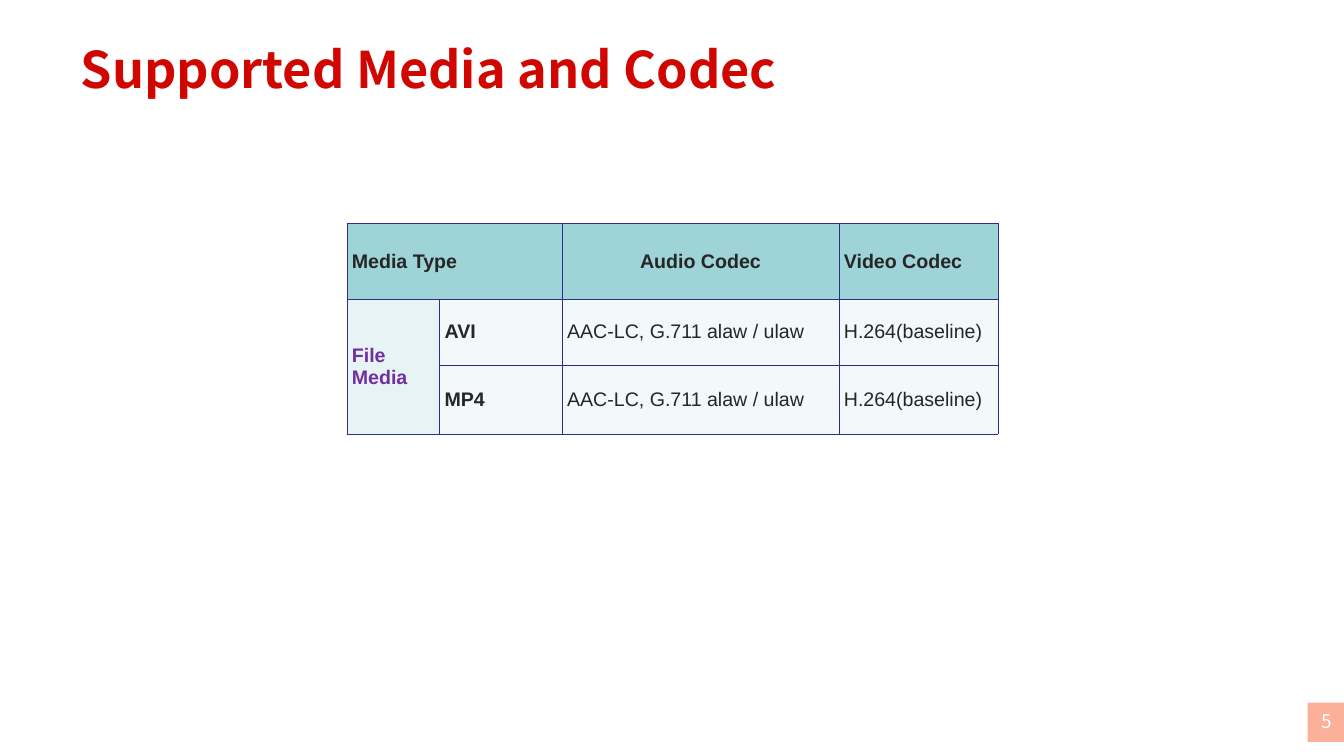
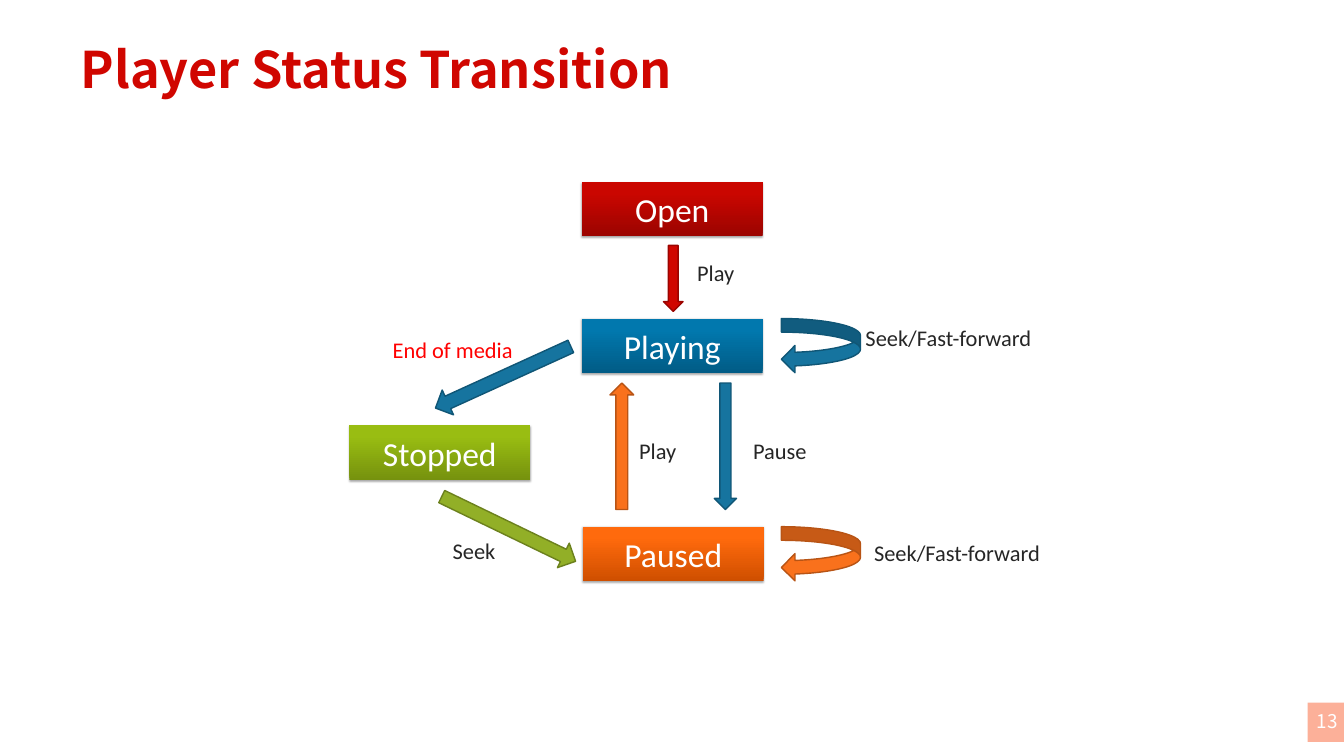
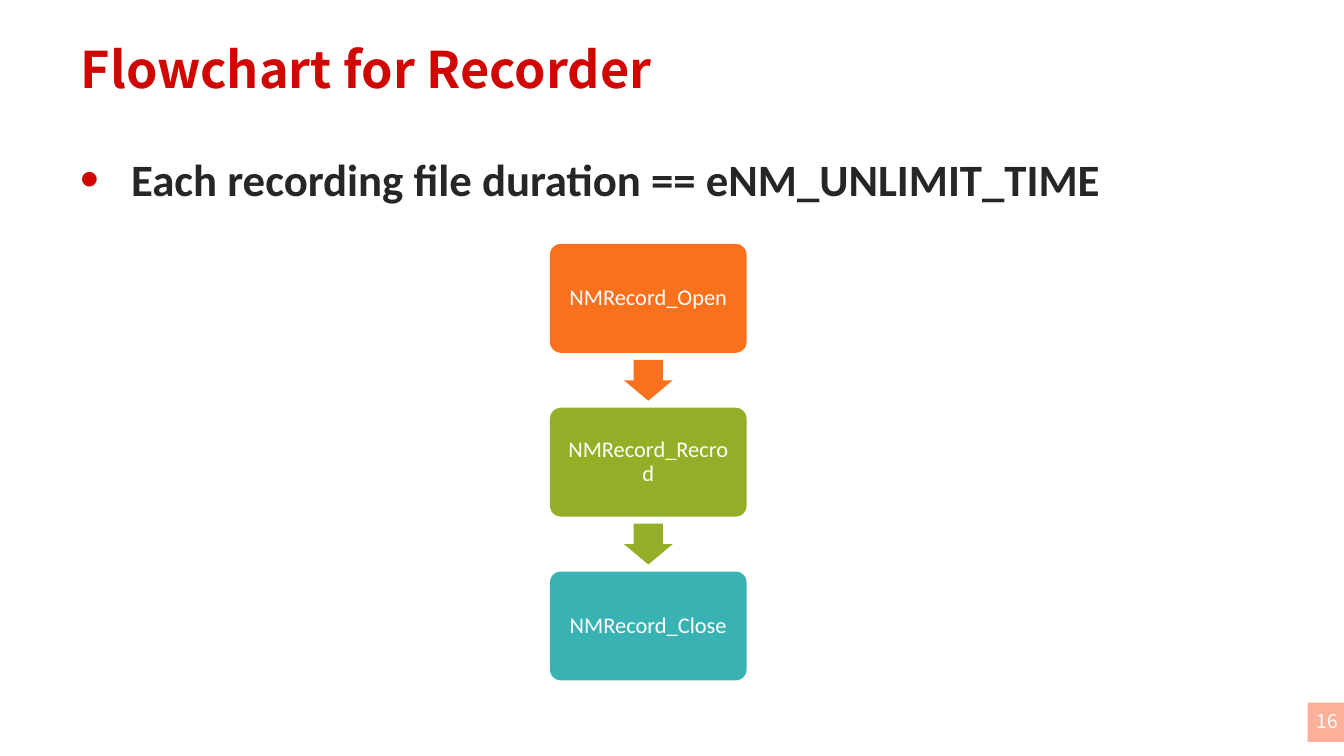
"""Build three slides on a media library: codecs, player states and recorder flow."""
from lxml import etree
from pptx import Presentation
from pptx.dml.color import RGBColor
from pptx.enum.shapes import MSO_SHAPE
from pptx.enum.text import MSO_ANCHOR, MSO_AUTO_SIZE, PP_ALIGN
from pptx.oxml.ns import qn
from pptx.util import Inches, Pt

LEFT, CENTER = PP_ALIGN.LEFT, PP_ALIGN.CENTER
TOP, MIDDLE = MSO_ANCHOR.TOP, MSO_ANCHOR.MIDDLE
RECT, ROUNDED = MSO_SHAPE.RECTANGLE, MSO_SHAPE.ROUNDED_RECTANGLE
DOWN, UP = MSO_SHAPE.DOWN_ARROW, MSO_SHAPE.UP_ARROW
RIGHT, LOOP = MSO_SHAPE.RIGHT_ARROW, MSO_SHAPE.CURVED_LEFT_ARROW
NO_FIT = MSO_AUTO_SIZE.NONE

WIDTH, HEIGHT = 26.66, 15
HEAD_FONT, BODY_FONT, TABLE_FONT = "Noto Sans CJK SC", "Calibri", "Arial"
INSETS = (0.27, 0.13)
COLORS = {
    "red": "D00600", "red edge": "9A0400", "blue": "16749F", "blue edge": "105676",
    "orange": "F9711C", "orange edge": "B85415", "green": "92AF27", "green edge": "6C811D",
    "teal": "38B2B2", "badge": "FCB099", "white": "FFFFFF", "ink": "262626",
    "alert": "FF0000", "purple": "7030A0", "border": "2D2D8A",
    "header": "9ED3D7", "group": "E7F3F4", "cell": "F3F9FA",
}

CODEC_ROWS = [
    ["Media Type", "", "Audio Codec", "Video Codec"],
    ["File Media", "AVI", "AAC-LC, G.711 alaw / ulaw", "H.264(baseline)"],
    ["", "MP4", "AAC-LC, G.711 alaw / ulaw", "H.264(baseline)"],
]
CODEC_WIDTHS = [1.84, 2.43, 5.49, 3.16]
CODEC_HEIGHTS = [1.5, 1.3, 1.37]
CODEC_AT = (6.88, 4.44)

STATE_SIZE = (3.59, 1.08)
STATES = [
    ("Open", 11.54, 3.61, "9B0400", "CA0600"),
    ("Playing", 11.54, 6.32, "015C86", "0178AE"),
    ("Paused", 11.56, 10.45, "CF4F00", "FF6A0D"),
    ("Stopped", 6.93, 8.44, "76920E", "99BD12"),
]
TRANSITIONS = [
    (LOOP, (15.5, 6.32, 1.57, 1.08), 0, "blue"),
    (LOOP, (15.5, 10.45, 1.57, 1.08), 0, "orange"),
    (DOWN, (13.16, 4.87, 0.39, 1.31), 0, "red"),
    (DOWN, (14.17, 7.6, 0.44, 2.51), 0, "blue"),
    (UP, (12.1, 7.6, 0.47, 2.51), 0, "orange"),
    (DOWN, (9.71, 6.01, 0.54, 2.95), 65.5, "blue"),
    (DOWN, (9.82, 9.02, 0.54, 2.95), 295.8, "green"),
]
LABELS = [
    ("Seek/Fast-forward", 17.07, 6.39, 3.54, "ink"),
    ("Seek/Fast-forward", 17.24, 10.65, 3.54, "ink"),
    ("Play", 13.73, 5.09, 0.95, "ink"),
    ("Play", 12.58, 8.63, 0.95, "ink"),
    ("Pause", 14.84, 8.63, 1.27, "ink"),
    ("Seek", 8.88, 10.6, 1.06, "ink"),
    ("End of media", 7.69, 6.62, 2.61, "alert"),
]

RECORD_RULE = "Each recording file duration == eNM_UNLIMIT_TIME"
RECORD_STEPS = [("NMRecord_Open", "orange"), ("NMRecord_Recrod", "green"),
                ("NMRecord_Close", "teal")]
STEP_AT, STEP_SIZE, STEP_PITCH = (10.91, 4.84), (3.9, 2.16), 3.25
STEP_ARROW = (0.81, 0.97)


def rgb(name):
    return RGBColor.from_string(COLORS.get(name, name))


def place(shape, *frame):
    shape.left, shape.top, shape.width, shape.height = map(Inches, frame)


def write(frame, text, size=32, font=BODY_FONT, color="ink", bold=False, align=LEFT,
          anchor=MIDDLE, insets=(0.1, 0.05), wrap=True):
    """Put formatted text in a text frame and return its paragraph."""
    frame.word_wrap, frame.auto_size, frame.vertical_anchor = wrap, NO_FIT, anchor
    frame.margin_left = frame.margin_right = Inches(insets[0])
    frame.margin_top = frame.margin_bottom = Inches(insets[1])
    return write_para(frame.paragraphs[0], text, size, font, color, bold, align)


def write_para(para, text, size, font, color, bold, align):
    para.alignment = align
    span = para.add_run()
    span.text = text
    span.font.size, span.font.name, span.font.bold = Pt(size), font, bold
    span.font.color.rgb = rgb(color)
    return para


def add_block(page, kind, frame, fill, edge=None, rotation=0):
    block = page.shapes.add_shape(kind, *map(Inches, frame))
    block.shadow.inherit = False
    block.rotation = rotation
    block.fill.solid()
    block.fill.fore_color.rgb = rgb(fill)
    if edge:
        block.line.color.rgb = rgb(edge)
        block.line.width = Pt(2)
    else:
        block.line.fill.background()
    return block


def add_label(page, text, frame, **style):
    box = page.shapes.add_textbox(*map(Inches, frame))
    write(box.text_frame, text, **style)


def add_page(deck, title, number, layout=5):
    page = deck.slides.add_slide(deck.slide_layouts[layout])
    place(page.shapes.title, 1.33, 0.42, 24.01, 1.86)
    write(page.shapes.title.text_frame, title, size=72, font=HEAD_FONT, color="red",
          bold=True, insets=INSETS)
    add_block(page, RECT, (25.94, 13.94, WIDTH - 25.94, 0.78), "badge")
    add_label(page, str(number), (25.8, 13.88, 1.05, 0.84), size=27, font=HEAD_FONT,
              color="white", align=CENTER, insets=INSETS)
    return page


def add_element(parent, tag, **attributes):
    return etree.SubElement(parent, qn(tag), attributes)


def add_borders(cell):
    properties = cell._tc.get_or_add_tcPr()
    for index, side in enumerate("LRTB"):
        line = etree.Element(qn(f"a:ln{side}"), w=str(Pt(1)))
        add_element(add_element(line, "a:solidFill"), "a:srgbClr", val=COLORS["border"])
        properties.insert(index, line)


def add_drop_shadow(shape):
    shape.shadow.inherit = False
    effects = shape.element.spPr.find(qn("a:effectLst"))
    drop = add_element(effects, "a:outerShdw", blurRad=str(Pt(3.1)), dist=str(Pt(1.8)),
                       dir="5400000", rotWithShape="0")
    color = add_element(drop, "a:srgbClr", val="000000")
    add_element(color, "a:alpha", val="35000")


def add_bullet(para):
    properties = para._p.get_or_add_pPr()
    properties.set("marL", str(Inches(1)))
    properties.set("indent", str(Inches(-1)))
    add_element(add_element(properties, "a:buClr"), "a:srgbClr", val=COLORS["red"])
    add_element(properties, "a:buSzPct", val="120000")
    add_element(properties, "a:buFont", typeface="Arial")
    add_element(properties, "a:buChar", char="•")


def build_codecs(deck):
    page = add_page(deck, "Supported Media and Codec", 5)
    size = (sum(CODEC_WIDTHS), sum(CODEC_HEIGHTS))
    table = page.shapes.add_table(len(CODEC_ROWS), len(CODEC_WIDTHS),
                                  *map(Inches, CODEC_AT + size)).table
    table.first_row = table.horz_banding = False
    for column, width in zip(table.columns, CODEC_WIDTHS):
        column.width = Inches(width)
    for row, height in zip(table.rows, CODEC_HEIGHTS):
        row.height = Inches(height)
    for r, texts in enumerate(CODEC_ROWS):
        for c, text in enumerate(texts):
            cell = table.cell(r, c)
            cell.fill.solid()
            cell.fill.fore_color.rgb = rgb("header" if r == 0 else "group" if c == 0 else "cell")
            cell.vertical_anchor = MIDDLE
            add_borders(cell)
            if text:
                write_para(cell.text_frame.paragraphs[0], text, 28, TABLE_FONT,
                           "purple" if r and c == 0 else "ink", r == 0 or c < 2,
                           CENTER if (r, c) == (0, 2) else LEFT)
    table.cell(0, 0).merge(table.cell(0, 1))
    table.cell(1, 0).merge(table.cell(2, 0))


def build_states(deck):
    page = add_page(deck, "Player Status Transition", 13)
    for name, left, top, dark, light in STATES:
        state = add_block(page, RECT, (left, top, *STATE_SIZE), light)
        state.fill.gradient()
        state.fill.gradient_angle = 90
        for stop, position, color in zip(state.fill.gradient_stops, (0, 0.8), (dark, light)):
            stop.position = position
            stop.color.rgb = rgb(color)
        add_drop_shadow(state)
        write(state.text_frame, name, size=48, color="white", align=CENTER)
    for kind, frame, rotation, color in TRANSITIONS:
        add_block(page, kind, frame, color, f"{color} edge", rotation)
    for text, left, top, width, color in LABELS:
        add_label(page, text, (left, top, width, 0.64), color=color, anchor=TOP, wrap=False)


def build_recorder(deck):
    page = add_page(deck, "Flowchart for Recorder", 16, layout=1)
    body = page.placeholders[1]
    place(body, 1.33, 2.88, 24.01, 11.46)
    para = write(body.text_frame, RECORD_RULE, size=64, bold=True, anchor=TOP, insets=INSETS)
    add_bullet(para)
    para.space_before = para.space_after = Pt(12)
    left, first_top = STEP_AT
    width, height = STEP_SIZE
    arrow_width, arrow_height = STEP_ARROW
    arrow_left = left + (width - arrow_width) / 2
    for index, (name, color) in enumerate(RECORD_STEPS):
        top = first_top + index * STEP_PITCH
        step = add_block(page, ROUNDED, (left, top, width, height), color)
        step.adjustments[0] = 0.1
        write(step.text_frame, name, color="white", align=CENTER,
              insets=(0.2, 0.2)).line_spacing = 0.9
        if index < len(RECORD_STEPS) - 1:
            arrow_top = top + (height + STEP_PITCH - arrow_height) / 2
            arrow = add_block(page, RIGHT, (arrow_left, arrow_top, *STEP_ARROW), color,
                              rotation=90)
            arrow.adjustments[0], arrow.adjustments[1] = 0.6, 0.5


def main():
    deck = Presentation()
    deck.slide_width, deck.slide_height = Inches(WIDTH), Inches(HEIGHT)
    build_codecs(deck)
    build_states(deck)
    build_recorder(deck)
    deck.save("out.pptx")


if __name__ == "__main__":
    main()
